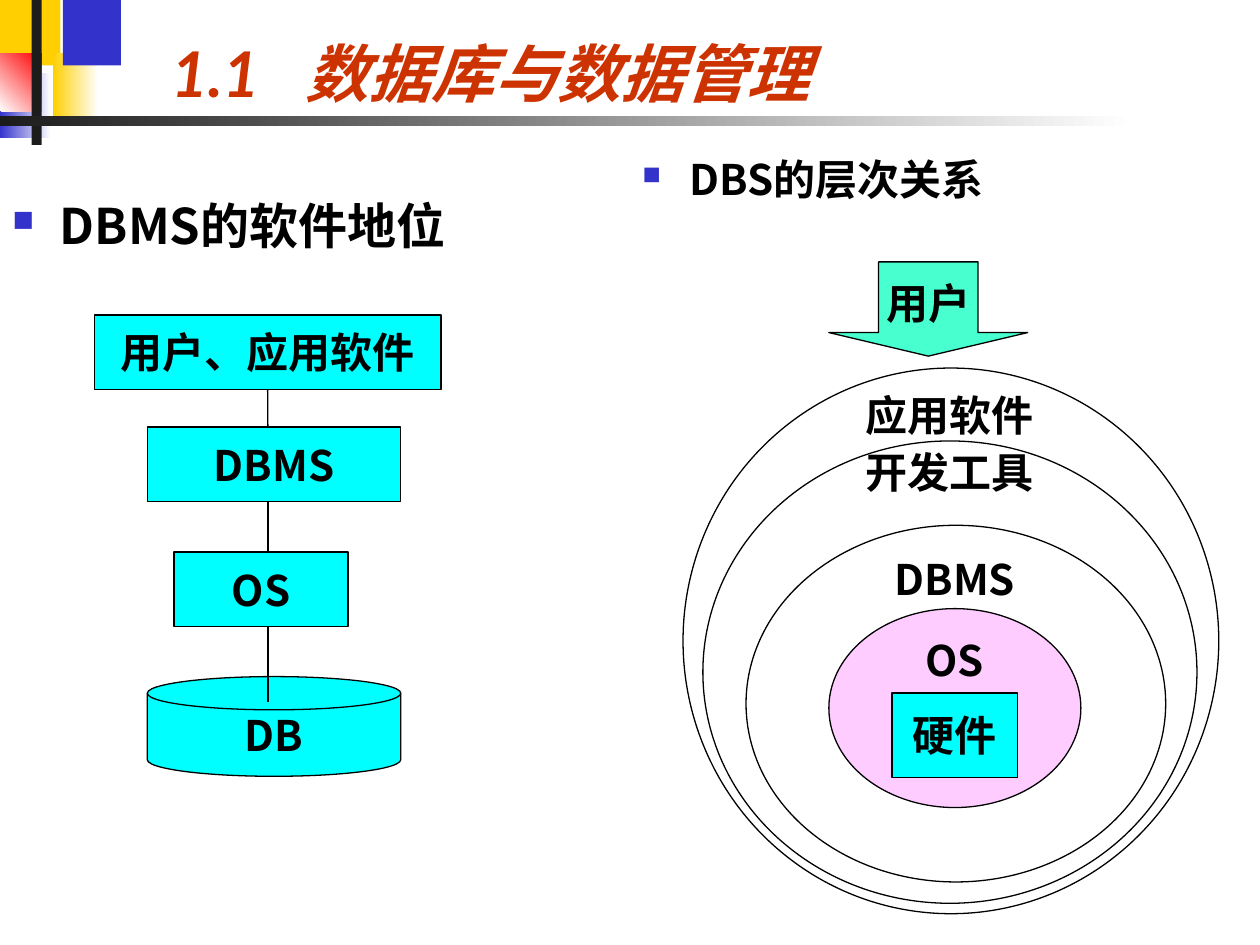
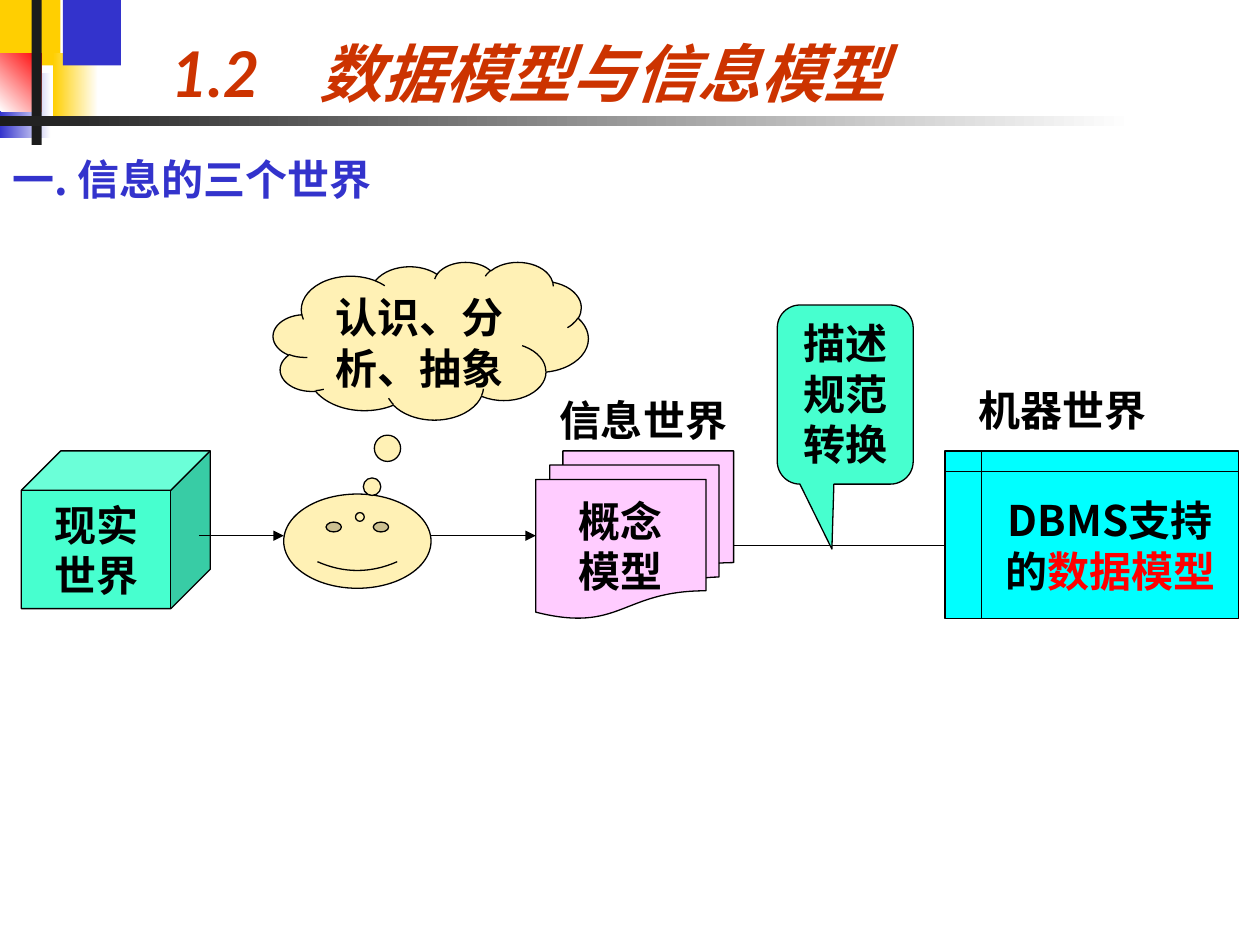
"""Build two slides on database systems and data models."""
import dataclasses
import typing

import lxml.etree
import pptx
import pptx.dml.color
import pptx.enum.dml
import pptx.enum.shapes
import pptx.enum.text
import pptx.oxml
import pptx.oxml.ns
import pptx.util

Cm = pptx.util.Cm
Pt = pptx.util.Pt
qn = pptx.oxml.ns.qn
MSO = pptx.enum.shapes.MSO_SHAPE
ANCHOR = pptx.enum.text.MSO_ANCHOR
ALIGN = pptx.enum.text.PP_ALIGN

CJK, LATIN = "Noto Sans CJK SC", "Lato"
BLACK, WHITE, DARK, RED = "000000", "FFFFFF", "1C1C1C", "FF0000"
BLUE, YELLOW, TITLE_RED = "3333CC", "FFCF01", "CC3300"
CYAN, MINT, PINK, CREAM = "00FFFF", "47FFCF", "FFCCFF", "FFF1B5"

BODY = {"size": Pt(24), "bold": True, "name": CJK}
TITLE = {"size": Pt(36), "bold": True, "italic": True, "name": LATIN}


@dataclasses.dataclass
class Band:
    """A decorative bar, faded to a second colour when one is given."""
    left: float
    top: float
    width: float
    height: float
    color: str
    fade: str = ""
    angle: float = 0


@dataclasses.dataclass
class Node:
    """A diagram shape with its text; accent is a part shown in red."""
    kind: MSO
    left: float
    top: float
    width: float
    height: float
    fill: str = ""
    text: str = ""
    accent: str = ""
    font: str = CJK
    wrap: bool = False
    anchor: ANCHOR = ANCHOR.MIDDLE
    adjust: tuple[float, ...] = ()


@dataclasses.dataclass
class Label:
    """Free text in a box."""
    text: str
    left: float
    top: float
    width: float
    height: float = 1.27
    size: float = 24
    color: str = BLACK
    bullet: bool = False
    align: ALIGN = ALIGN.LEFT
    anchor: ANCHOR = ANCHOR.TOP


@dataclasses.dataclass
class Line:
    """A straight connector."""
    x1: float
    y1: float
    x2: float
    y2: float
    arrow: bool = False


BANDS = [
    Band(0, 0, 1.22, 1.32, YELLOW),
    Band(1.07, 1.07, 0.91, 1.32, YELLOW, WHITE),
    Band(1.27, 0, 1.17, 1.32, BLUE),
    Band(0, 1.47, 1.02, 1.32, BLUE, WHITE),
    Band(0, 1.07, 0.84, 1.17, WHITE, RED, 45),
    Band(0.64, 0, 0.2, 2.92, DARK),
    Band(0, 2.34, 22.86, 0.2, DARK, WHITE),
]


def rgb(color: str) -> pptx.dml.color.RGBColor:
    """Turn a hex string into a colour."""
    return pptx.dml.color.RGBColor.from_string(color)


def assign(obj: typing.Any, values: dict[str, typing.Any]) -> None:
    """Set attributes from a dict of format values."""
    for name, value in values.items():
        setattr(obj, name, value)


def add_run(p: typing.Any, text: str, values: dict[str, typing.Any], color: str) -> None:
    """Append a formatted run with Latin and East Asian fonts."""
    r = p.add_run()
    r.text = text
    assign(r.font, values)
    r.font.color.rgb = rgb(color)
    ea = lxml.etree.SubElement(r.font._element, qn("a:ea"))
    ea.set("typeface", CJK)


def add_bands(s: typing.Any) -> None:
    """Draw the corner blocks and the title rule."""
    for b in BANDS:
        sp = s.shapes.add_shape(MSO.RECTANGLE, Cm(b.left), Cm(b.top), Cm(b.width), Cm(b.height))
        sp.shadow.inherit = False
        sp.line.fill.background()
        if b.fade:
            sp.fill.gradient()
            sp.fill.gradient_angle = b.angle
            for stop, color in zip(sp.fill.gradient_stops, (b.color, b.fade)):
                stop.color.rgb = rgb(color)
        else:
            sp.fill.solid()
            sp.fill.fore_color.rgb = rgb(b.color)


def add_page(prs: typing.Any, number: str, title: str, tab: float) -> typing.Any:
    """Add a slide with bands and a title set off from its number by a tab."""
    s = prs.slides.add_slide(prs.slide_layouts[5])
    add_bands(s)
    sp = s.shapes.title
    assign(sp, {"left": Cm(3.2), "top": Cm(0), "width": Cm(20.5), "height": Cm(2.34)})
    tf = sp.text_frame
    assign(tf, {"vertical_anchor": ANCHOR.BOTTOM, "word_wrap": True})
    p = tf.paragraphs[0]
    p.alignment = ALIGN.LEFT
    tabs = lxml.etree.SubElement(p._p.get_or_add_pPr(), qn("a:tabLst"))
    lxml.etree.SubElement(tabs, qn("a:tab"), pos=str(Cm(tab)), algn="l")
    add_run(p, f"{number}\t{title}", TITLE, TITLE_RED)
    return s


def add_node(s: typing.Any, n: Node) -> typing.Any:
    """Draw a diagram shape with its text."""
    sp = s.shapes.add_shape(n.kind, Cm(n.left), Cm(n.top), Cm(n.width), Cm(n.height))
    sp.shadow.inherit = False
    for i, value in enumerate(n.adjust):
        sp.adjustments[i] = value
    if n.fill:
        sp.fill.solid()
        sp.fill.fore_color.rgb = rgb(n.fill)
    else:
        sp.fill.background()
    sp.line.color.rgb = rgb(BLACK)
    sp.line.width = Pt(0.75)
    if n.text:
        tf = sp.text_frame
        assign(tf, {"word_wrap": n.wrap, "vertical_anchor": n.anchor})
        for i, text in enumerate(n.text.split("\n")):
            p = tf.add_paragraph() if i else tf.paragraphs[0]
            p.alignment = ALIGN.CENTER
            add_run(p, text, BODY | {"name": n.font}, BLACK)
        if n.accent:
            add_run(p, n.accent, BODY, RED)
    return sp


def add_label(s: typing.Any, b: Label) -> None:
    """Draw free text, with a square bullet if asked."""
    sp = s.shapes.add_textbox(Cm(b.left), Cm(b.top), Cm(b.width), Cm(b.height))
    tf = sp.text_frame
    assign(tf, {"word_wrap": True, "vertical_anchor": b.anchor})
    p = tf.paragraphs[0]
    p.alignment = b.align
    if b.bullet:
        pPr = p._p.get_or_add_pPr()
        pPr.set("marL", str(Cm(0.96)))
        pPr.set("indent", str(-Cm(0.96)))
        clr = lxml.etree.SubElement(pPr, qn("a:buClr"))
        lxml.etree.SubElement(clr, qn("a:srgbClr"), val=BLUE)
        lxml.etree.SubElement(pPr, qn("a:buSzPct"), val="60000")
        lxml.etree.SubElement(pPr, qn("a:buChar"), char="■")
    add_run(p, b.text, BODY | {"size": Pt(b.size)}, b.color)


def add_line(s: typing.Any, ln: Line) -> typing.Any:
    """Draw a straight connector, with an arrowhead if asked."""
    c = s.shapes.add_connector(pptx.enum.shapes.MSO_CONNECTOR.STRAIGHT,
                               Cm(ln.x1), Cm(ln.y1), Cm(ln.x2), Cm(ln.y2))
    c.line.color.rgb = rgb(BLACK)
    c.line.width = Pt(0.75)
    if ln.arrow:
        lxml.etree.SubElement(c.line._get_or_add_ln(), qn("a:tailEnd"), type="triangle")
    lxml.etree.SubElement(c._element.spPr, qn("a:effectLst"))
    return c


def build_layers(prs: typing.Any) -> None:
    """Show where the DBMS sits and how the DBS layers nest."""
    s = add_page(prs, "1.1", "数据库与数据管理", 2.7)
    add_label(s, Label("DBMS的软件地位", 0, 3.81, 11.86, 1.7, size=28, bullet=True))
    add_label(s, Label("DBS的层次关系", 12.7, 2.97, 9.1, 1.9, bullet=True))

    stack = [
        Node(MSO.RECTANGLE, 1.9, 6.35, 6.99, 1.5, CYAN, "用户、应用软件"),
        Node(MSO.RECTANGLE, 2.97, 8.61, 5.11, 1.5, CYAN, "DBMS"),
        Node(MSO.RECTANGLE, 3.51, 11.13, 3.51, 1.5, CYAN, "OS"),
        Node(MSO.FLOWCHART_MAGNETIC_DISK, 2.97, 13.64, 5.11, 2.01, CYAN, "DB"),
    ]
    shapes = [add_node(s, n) for n in stack]
    ends = [8.61, 11.13, 14.15]
    links = [add_line(s, Line(5.4, n.top + n.height, 5.4, end)) for n, end in zip(stack, ends)]
    links[0].begin_connect(shapes[0], 2)

    for n in (
        Node(MSO.OVAL, 13.77, 7.42, 10.8, 11),
        Node(MSO.OVAL, 14.17, 8.89, 9.96, 9.32),
        Node(MSO.OVAL, 15.04, 10.59, 8.46, 7.19),
        Node(MSO.OVAL, 16.71, 12.27, 5.08, 4.01, PINK),
        Node(MSO.RECTANGLE, 17.98, 13.97, 2.54, 1.7, CYAN, "硬件", font=LATIN),
        Node(MSO.DOWN_ARROW, 16.71, 5.28, 4.01, 1.9, MINT, "用户", adjust=(0.5, 0.25)),
    ):
        add_node(s, n)
    for text, left, top in (("应用软件", 16.95, 7.73), ("开发工具", 16.95, 8.87),
                            ("DBMS", 17.05, 11.03), ("OS", 17.05, 12.66)):
        add_label(s, Label(text, left, top, 4.4, align=ALIGN.CENTER, anchor=ANCHOR.MIDDLE))


def build_worlds(prs: typing.Any) -> None:
    """Show the path from the real world to the machine world."""
    s = add_page(prs, "1.2", "数据模型与信息模型", 2.98)
    add_label(s, Label("一. 信息的三个世界", 0, 2.97, 24.77, 1.9, color=BLUE))
    add_node(s, Node(MSO.CUBE, 0.43, 9.09, 3.81, 3.18, MINT, "现实\n世界", adjust=(0.25,)))
    for x1, x2, y in ((4.01, 5.72, 10.8), (8.69, 10.8, 10.8), (14.6, 19.25, 11)):
        add_line(s, Line(x1, y, x2, y, arrow=True))
    for n in (
        Node(MSO.SMILEY_FACE, 5.72, 9.96, 2.97, 1.9, CREAM),
        Node(MSO.CLOUD_CALLOUT, 5.51, 5.28, 6.35, 3.18, CREAM, "认识、分析、抽象",
             wrap=True, anchor=ANCHOR.TOP, adjust=(-0.225, 1.117)),
        Node(MSO.FLOWCHART_INTERNAL_STORAGE, 19.05, 9.09, 5.92, 3.38, CYAN,
             "DBMS支持\n的", accent="数据模型"),
        Node(MSO.FLOWCHART_MULTIDOCUMENT, 10.8, 9.09, 3.99, 3.38, PINK, "概念\n模型"),
        Node(MSO.ROUNDED_RECTANGULAR_CALLOUT, 15.67, 6.15, 2.74, 3.61, MINT, "描述\n规范转换",
             wrap=True, anchor=ANCHOR.TOP, adjust=(-0.098, 0.863, 0.167)),
    ):
        add_node(s, n)
    add_label(s, Label("机器世界", 19.48, 7.62, 4.39))
    add_label(s, Label("信息世界", 11.02, 7.82, 4.45))


def main() -> None:
    """Build and save the presentation."""
    prs = pptx.Presentation()
    assign(prs, {"slide_width": Cm(25.4), "slide_height": Cm(19.05)})
    build_layers(prs)
    build_worlds(prs)
    prs.save("out.pptx")


if __name__ == "__main__":
    main()
